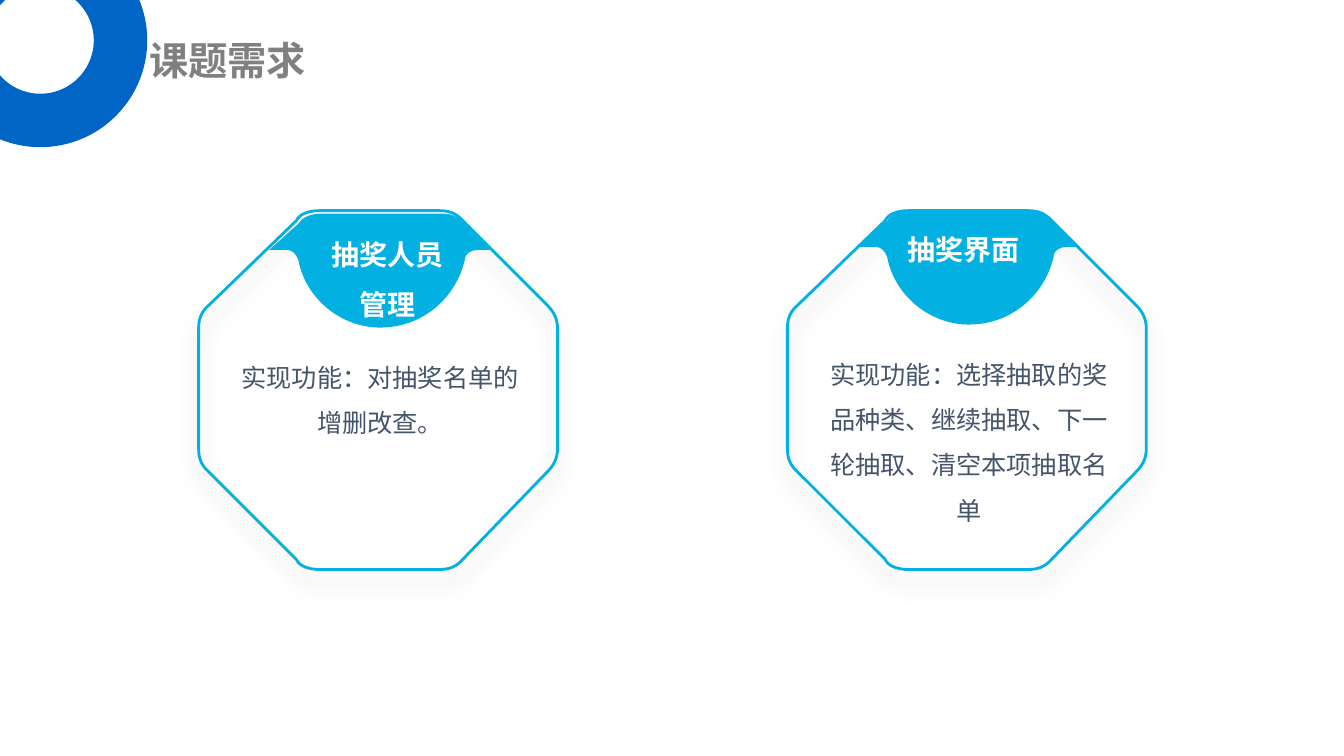
from pptx import Presentation
from pptx.dml.color import RGBColor
from pptx.enum.shapes import MSO_SHAPE as Shape
from pptx.enum.text import MSO_ANCHOR as Anchor, MSO_AUTO_SIZE as Fit, PP_ALIGN as Align
from pptx.oxml import parse_xml
from pptx.oxml.ns import nsdecls
from pptx.util import Pt

PX = 9144
SANS, NOTO = "Open Sans", "Noto Sans CJK SC"
CYAN, BLUE, GREY, SLATE, WHITE = "02B0E1", "0165C5", "808080", "44546A", "FFFFFF"
SIDE = 356
UPPER = [
    [(0, 117)], [(0, 107), (3, 100), (10, 94)],
    [(97, 10)], [(100, 3), (110, 0), (120, 0)],
    [(239, 0)], [(249, 0), (256, 3), (262, 10)],
    [(346, 94)], [(352, 100), (356, 107), (356, 117)],
]
LOWER = [
    [(356, 236)], [(356, 246), (352, 253), (346, 259)],
    [(262, 346)], [(256, 353), (249, 356), (239, 356)],
    [(120, 356)], [(110, 356), (100, 353), (97, 346)],
    [(10, 259)], [(3, 253), (0, 246), (0, 236)],
]
FLAG = [
    [(194, 10)], [(188, 3), (181, 0), (172, 0)],
    [(52, 0)], [(42, 0), (33, 3), (29, 10)],
    [(0, 36)],
    [(17, 36)], [(23, 36), (26, 39), (29, 46)],
    [(36, 84), (71, 113), (110, 113)],
    [(152, 113), (185, 84), (194, 46)],
    [(194, 39), (201, 36), (207, 36)],
    [(220, 36)],
]
CARDS = [
    (197, 3, 40, 2, 105, "抽奖人员管理", [("实现功能：对抽奖名单的增删改查。", SANS)], 98),
    (781, 0, 28, 0, 54, "抽奖界面",
     [("实现功能", SANS), ("：选择抽取的奖品种类、继续抽取、下一轮抽取、清空本项抽取名单", NOTO)], 188),
]


def px(*sizes):
    """Turn px lengths into EMU."""
    return [round(size * PX) for size in sizes]


def paint(part, tone):
    """Give a fill or a font colour format its hex colour."""
    part.rgb = RGBColor.from_string(tone)


def draw(slide, left, top, parts):
    """Build a closed outline, in which a part of three points is a curve."""
    spots = [px(left + x, top + y) for part in parts for x, y in part]
    pen = slide.shapes.build_freeform(*spots[0])
    pen.add_line_segments(spots[1:], close=True)
    shape = pen.convert_to_shape()
    shape.shadow.inherit = False
    lines = iter(list(shape.element.spPr.iter("{*}lnTo")))
    for part in parts[1:]:
        legs = [next(lines) for _ in part]
        if len(legs) == 3:
            curve = parse_xml(f'<a:cubicBezTo {nsdecls("a")}/>')
            legs[0].addprevious(curve)
            for leg in legs:
                curve.append(leg[0])
                leg.getparent().remove(leg)
    return shape


def write(slide, box, runs, size, tone, bold=False, inset=(10, 5)):
    """Write one centred paragraph in a wrapping text box."""
    frame = slide.shapes.add_textbox(*px(*box)).text_frame
    frame.word_wrap = True
    frame.auto_size = Fit.SHAPE_TO_FIT_TEXT
    frame.margin_left = frame.margin_right = px(inset[0])[0]
    frame.margin_top = frame.margin_bottom = px(inset[1])[0]
    para = frame.paragraphs[0]
    para.alignment, para.line_spacing = Align.CENTER, 1.5
    para.font.size, para.font.bold = Pt(size), bold
    paint(para.font.color, tone)
    for text, font in runs:
        run = para.add_run()
        run.text, run.font.name = text, font


def ring(slide, left, top, side):
    """Draw the corner ring."""
    shape = slide.shapes.add_shape(Shape.DONUT, *px(left, top, side, side))
    shape.shadow.inherit = False
    shape.fill.solid()
    paint(shape.fill.fore_color, BLUE)
    shape.line.fill.background()


def head(slide, box, text):
    """Place and format the slide title."""
    title = slide.shapes.title
    title.left, title.top, title.width, title.height = px(*box)
    frame = title.text_frame
    frame.text = text
    frame.vertical_anchor = Anchor.TOP
    para = frame.paragraphs[0]
    para.alignment, para.line_spacing = Align.LEFT, 1.0
    para.font.name, para.font.size, para.font.bold = NOTO, Pt(28), True
    paint(para.font.color, GREY)


def rim(slide, left, top):
    """Draw the octagon outline with its soft shadow."""
    shape = draw(slide, left, top, UPPER + LOWER)
    shape.fill.background()
    paint(shape.line.color, CYAN)
    shape.line.width = Pt(2)
    glow = parse_xml(
        f'<a:outerShdw {nsdecls("a")} blurRad="{Pt(15)}" dist="{Pt(10)}" dir="5400000" '
        'algn="t" rotWithShape="0"><a:srgbClr val="000000"><a:alpha val="20000"/>'
        '</a:srgbClr></a:outerShdw>')
    shape.element.spPr.find("{*}effectLst").append(glow)


def card(slide, left, top, drop, shift, dip, tall, label, runs, high):
    """Place an octagon with its flag, label and text."""
    rim(slide, left, top)
    x, y = left + 70, top + drop
    flag = draw(slide, x, y, FLAG)
    flag.fill.solid()
    paint(flag.fill.fore_color, CYAN)
    flag.line.fill.background()
    write(slide, (x - 49, y + 126, 318, high), runs, 18, SLATE, inset=(12, 6))
    write(slide, (x + shift, y + dip, 154, tall), [(label, NOTO)], 20, WHITE, True)


def main():
    """Build and save the slide."""
    deck = Presentation()
    deck.slide_width, deck.slide_height = px(1333, 750)
    slide = deck.slides.add_slide(deck.slide_layouts[5])
    ring(slide, -66, -66, 212)
    head(slide, (138, 31, 1150, 84), "课题需求")
    for left, *rest in CARDS:
        card(slide, left, 209, *rest)
    deck.save("out.pptx")


if __name__ == "__main__":
    main()
